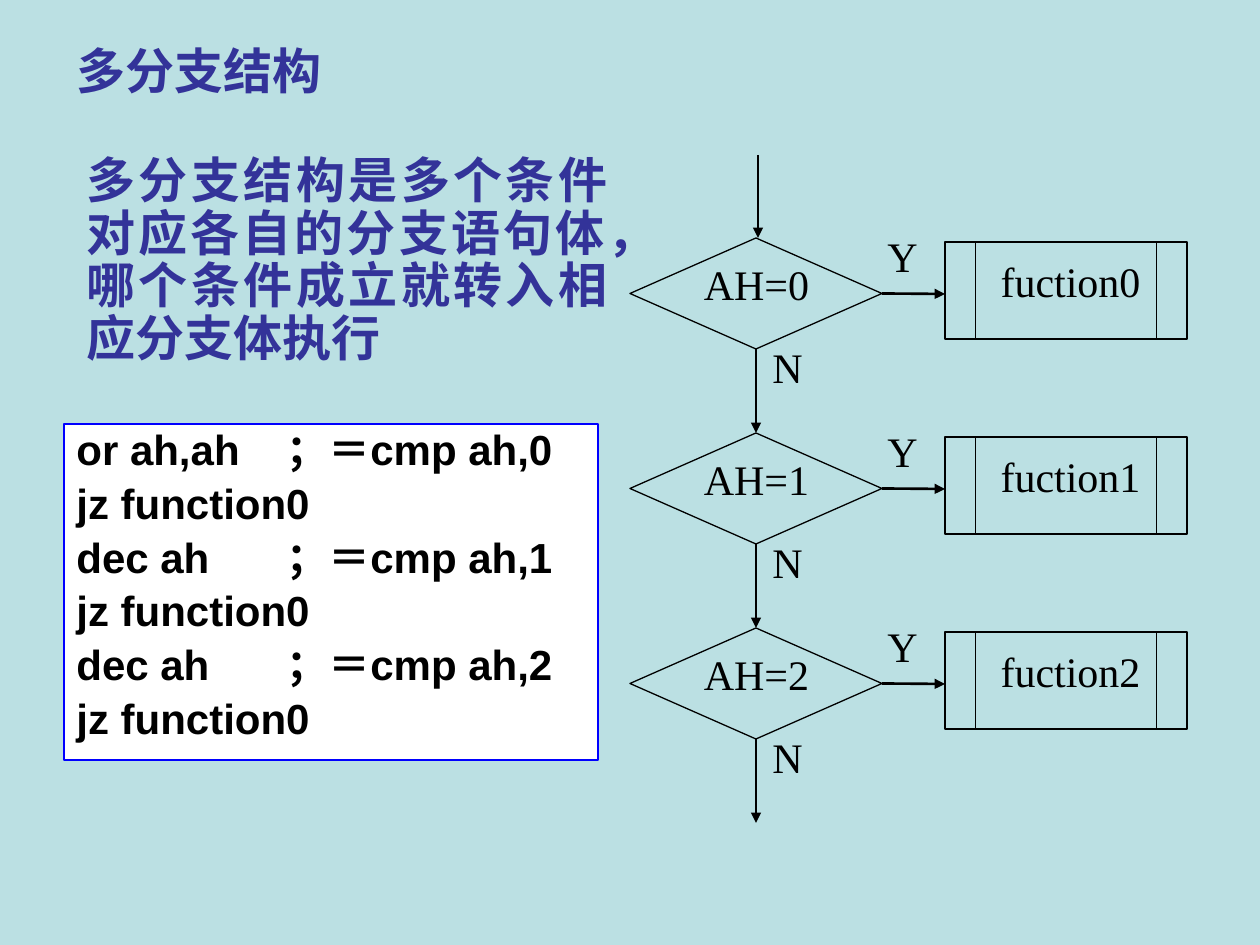
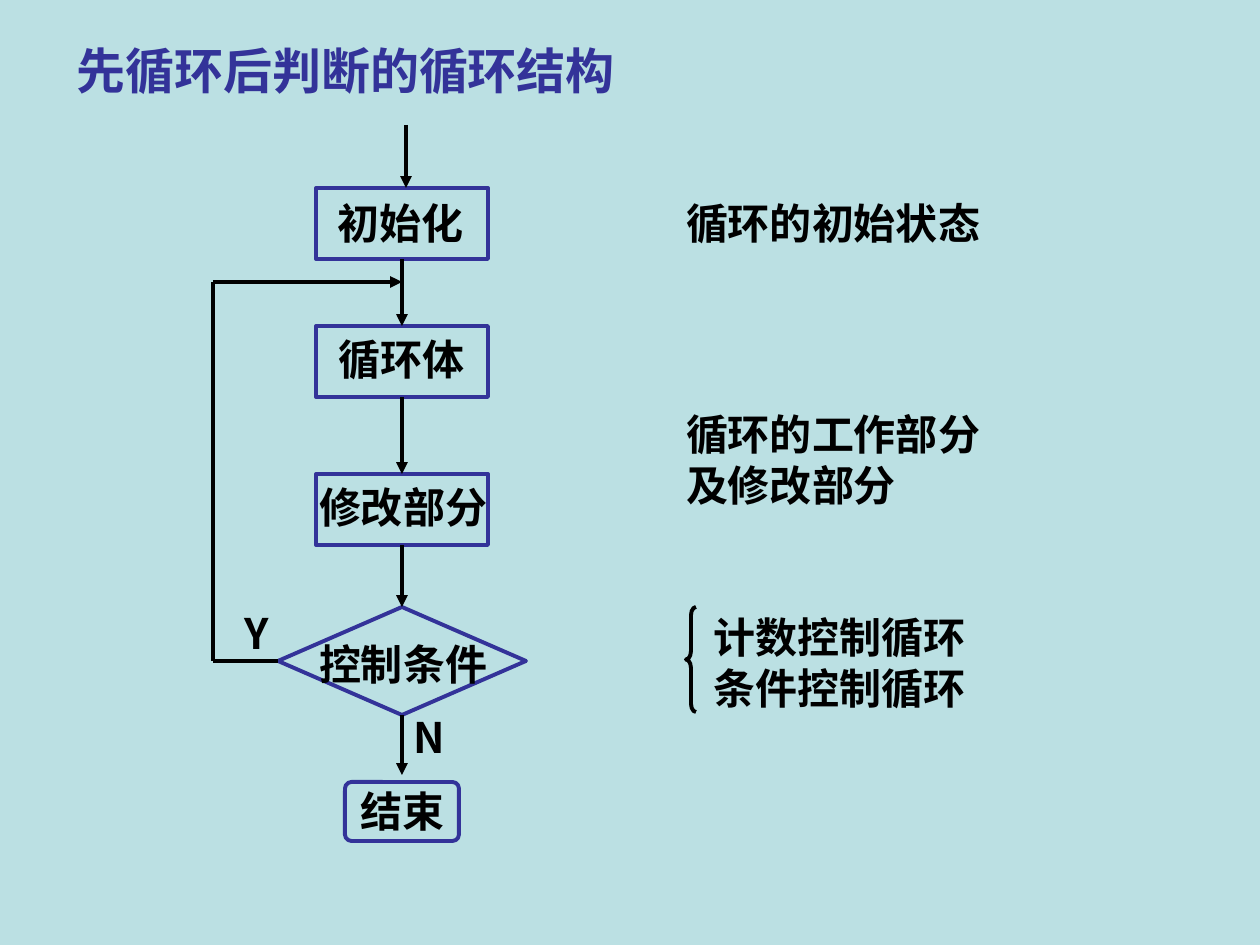
from lxml import etree
from pptx import Presentation
from pptx import util as u
from pptx.dml.color import RGBColor
from pptx.enum import shapes, text
from pptx.oxml.ns import qn

PX = 914400 / 126
SKY, NAVY, BLACK, WHITE, BLUE = "BBE0E3", "333399", "000000", "FFFFFF", "0000FF"
SANS, SERIF, HAN = "Arial", "Times New Roman", "Noto Sans CJK SC"
KIND = shapes.MSO_SHAPE
LEFT, MID, JUST = text.PP_ALIGN.LEFT, text.PP_ALIGN.CENTER, text.PP_ALIGN.JUSTIFY
TOP, RIGHT, DOWN = 0, 3, 2
SIDE = 1

# Slide 1: several branches
BRANCH = "多分支结构"
INTRO = "多分支结构是多个条件对应各自的分支语句体，哪个条件成立就转入相应分支体执行"
CODE = [
    "or ah,ah\t；＝cmp ah,0",
    "jz function0",
    "dec ah\t；＝cmp ah,1",
    "jz function0",
    "dec ah\t；＝cmp ah,2",
    "jz function0",
]
CASES = [("AH=0", "fuction0"), ("AH=1", "fuction1"), ("AH=2", "fuction2")]
CASE_TOP, CASE_STEP, CASE_GAP = 238, 195, 84

# Slide 2: loop, then test
LOOP = "先循环后判断的循环结构"
AXIS = 402
STEPS = [  # kind, top, width, height
    (KIND.RECTANGLE, 188, 172, 71),
    (KIND.RECTANGLE, 326, 172, 71),
    (KIND.RECTANGLE, 474, 172, 71),
    (KIND.DIAMOND, 607, 248, 108),
    (KIND.ROUNDED_RECTANGLE, 782, 114, 59),
]
LABELS = [  # left, top, width, face, lines
    (338, 198, 127, HAN, ["初始化"]),
    (339, 334, 127, HAN, ["循环体"]),
    (319, 482, 169, SERIF, ["修改部分"]),
    (319, 639, 169, HAN, ["控制条件"]),
    (361, 786, 84, HAN, ["结束"]),
    (244, 608, 22, HAN, ["Y"]),
    (413, 712, 22, HAN, ["N"]),
    (686, 198, 296, HAN, ["循环的初始状态"]),
    (686, 409, 296, HAN, ["循环的工作部分", "及修改部分"]),
    (714, 612, 253, HAN, ["计数控制循环", "条件控制循环"]),
]


def emu(*vals):
    return [u.Emu(round(v * PX)) for v in vals]


def rgb(code):
    return RGBColor.from_string(code)


def write(frame, lines, size, face, color, bold=False, align=LEFT,
          pitch=None, before=0, tab=None):
    for i, line in enumerate(lines):
        para = frame.paragraphs[0] if i == 0 else frame.add_paragraph()
        para.alignment = align
        if pitch:
            para.line_spacing = u.Pt(pitch)
        if i and before:
            para.space_before = u.Pt(before)
        if tab:
            stops = etree.SubElement(para._p.get_or_add_pPr(), qn("a:tabLst"))
            etree.SubElement(stops, qn("a:tab"), pos=str(emu(tab)[0]), algn="l")
        run = para.add_run()
        run.text = line
        font = run.font
        font.size, font.bold, font.name = u.Pt(size), bold, face
        font.color.rgb = rgb(color)
        etree.SubElement(run._r.get_or_add_rPr(), qn("a:ea"), typeface=HAN)


def label(slide, box, lines, size, face, color, wrap=True, inset=True, **style):
    frame = slide.shapes.add_textbox(*emu(*box)).text_frame
    frame.word_wrap = wrap
    if not inset:
        frame.margin_left = frame.margin_right = 0
        frame.margin_top = frame.margin_bottom = 0
    write(frame, lines, size, face, color, **style)


def block(slide, kind, box, line, width, fill=None):
    shape = slide.shapes.add_shape(kind, *emu(*box))
    shape.shadow.inherit = False
    if fill:
        shape.fill.solid()
        shape.fill.fore_color.rgb = rgb(fill)
    else:
        shape.fill.background()
    shape.line.color.rgb = rgb(line)
    shape.line.width = u.Pt(width)
    return shape


def link(slide, ends, width, head=True, start=None, stop=None):
    """Draw a line; start and stop are (shape, side) pairs to join."""
    wire = slide.shapes.add_connector(shapes.MSO_CONNECTOR.STRAIGHT, *emu(*ends))
    if start:
        wire.begin_connect(*start)
    if stop:
        wire.end_connect(*stop)
    wire.line.color.rgb = rgb(BLACK)
    wire.line.width = u.Pt(width)
    if head:
        etree.SubElement(wire.line._get_or_add_ln(), qn("a:tailEnd"), type="triangle")
    etree.SubElement(wire._element.spPr, qn("a:effectLst"))


def page(deck, name):
    slide = deck.slides.add_slide(deck.slide_layouts[5])
    title = slide.shapes.title
    title.left, title.top, title.width, title.height = emu(64, 35, 1134, 69)
    title.text_frame.vertical_anchor = text.MSO_ANCHOR.MIDDLE
    write(title.text_frame, [name], 28, SANS, NAVY, bold=True)
    return slide


def branch(deck):
    slide = page(deck, BRANCH)
    label(slide, (74, 149, 546, 224), [INTRO], 28, SANS, NAVY,
          bold=True, align=JUST, pitch=30.2)

    tests = []
    for i, (test, call) in enumerate(CASES):
        top = CASE_TOP + i * CASE_STEP
        mid = top + 56
        low = top + 111
        gem = block(slide, KIND.FLOWCHART_DECISION, (630, top, 252, 111),
                    BLACK, 0.75, SKY)
        tests.append(gem)
        block(slide, KIND.FLOWCHART_PREDEFINED_PROCESS, (945, top + 4, 242, 97),
              BLACK, 0.75, SKY)
        link(slide, (882, mid, 945, mid), 1.5, start=(gem, RIGHT))
        for left, y, wide, word in [
            (683, top + 14, 147, test),
            (955, top + 11, 231, call),
            (850, top - 14, 105, "Y"),
            (735, top + 97, 105, "N"),
        ]:
            label(slide, (left, y, wide, 63), [word], 24, SERIF, BLACK, align=MID)

    link(slide, (758, 155, 758, CASE_TOP), 1.5)
    for gem, after in zip(tests, tests[1:]):
        link(slide, (0, 0, 0, 0), 1.5, start=(gem, DOWN), stop=(after, TOP))
    link(slide, (756, low, 756, low + CASE_GAP), 1.5, start=(tests[-1], DOWN))

    code = block(slide, KIND.RECTANGLE, (64, 424, 534, 336), BLUE, 0.75, WHITE)
    code.text_frame.word_wrap = True
    code.text_frame.vertical_anchor = text.MSO_ANCHOR.TOP
    write(code.text_frame, CODE, 24, SANS, BLACK, bold=True, align=JUST,
          pitch=25, before=5.7, tab=210)


def loop(deck):
    slide = page(deck, LOOP)
    nodes = [block(slide, kind, (AXIS - wide // 2, top, wide, high), NAVY, 2.25)
             for kind, top, wide, high in STEPS]
    first, gem, last = nodes[0], nodes[3], nodes[4]
    last.adjustments[0] = 0.11

    link(slide, (406, 125, 406, 188), 2.25)
    for node, after in zip(nodes[:3], nodes[1:4]):
        link(slide, (0, 0, 0, 0), 2.25, start=(node, DOWN), stop=(after, TOP))
    link(slide, (AXIS, 715, AXIS, 775), 2.25, start=(gem, DOWN))

    link(slide, (278, 661, 213, 661), 2.25, head=False, start=(gem, SIDE))
    link(slide, (213, 661, 213, 282), 2.25, head=False)
    link(slide, (213, 282, AXIS, 282), 2.25)

    brace = block(slide, KIND.LEFT_BRACE, (686, 607, 10, 105), BLACK, 2.25)
    brace.adjustments[0] = 0.83
    for left, top, wide, face, lines in LABELS:
        label(slide, (left, top, wide, 50 * len(lines)), lines, 24, face, BLACK,
              wrap=False, inset=False, bold=True, pitch=28.8)


def main():
    deck = Presentation()
    deck.slide_width, deck.slide_height = emu(1260, 945)
    back = deck.slide_master.background.fill
    back.solid()
    back.fore_color.rgb = rgb(SKY)
    branch(deck)
    loop(deck)
    deck.save("out.pptx")


if __name__ == "__main__":
    main()
